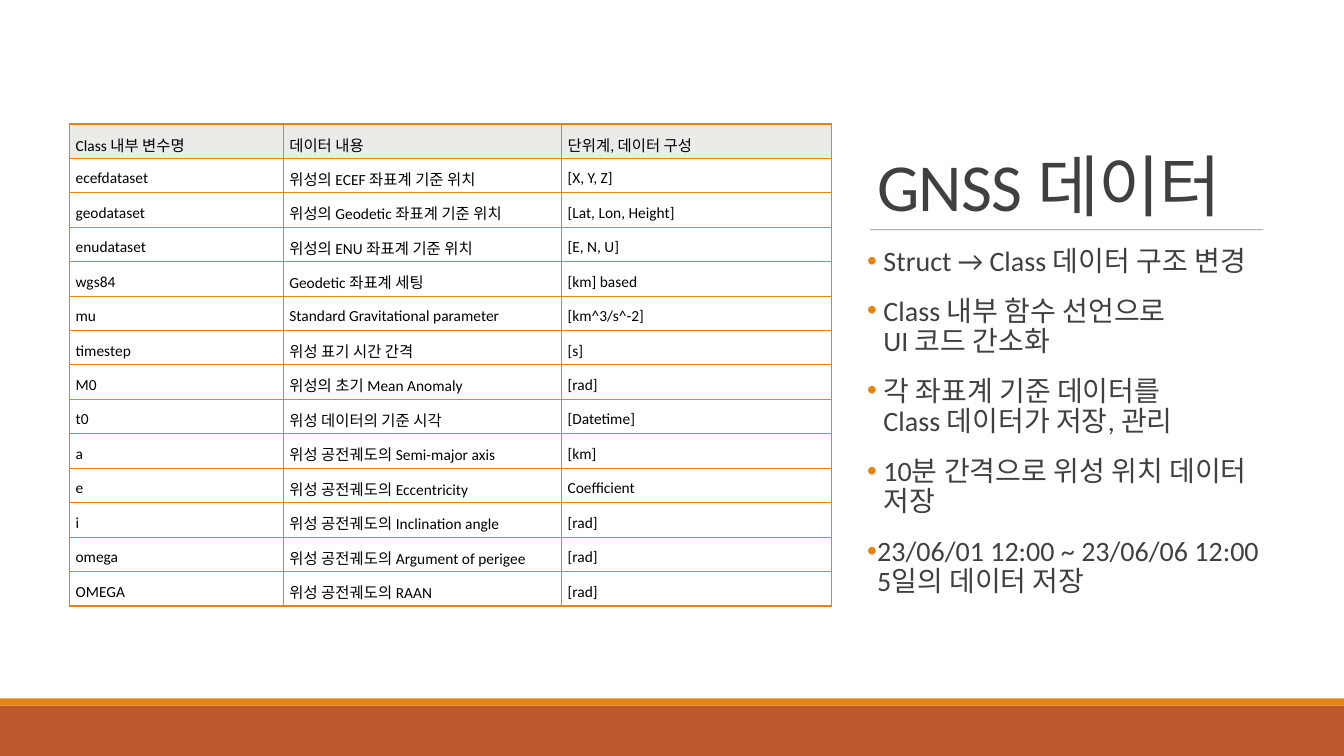
from dataclasses import dataclass

from lxml import etree
from pptx import Presentation
from pptx import util as u
from pptx.dml import color as col
from pptx.enum import shapes, text
from pptx.oxml import ns


@dataclass(frozen=True)
class Theme:
    font: str = "Calibri"
    ink: str = "404040"
    black: str = "000000"
    accent: str = "E48312"
    rust: str = "BD582C"
    head: str = "EAECE7"
    rule: str = "808080"
    title: float = 48
    body: float = 20
    cell: float = 11


THEME = Theme()

POINTS = [
    " Struct → Class 데이터 구조 변경",
    " Class 내부 함수 선언으로\n UI 코드 간소화",
    " 각 좌표계 기준 데이터를 \n Class 데이터가 저장, 관리",
    " 10분 간격으로 위성 위치 데이터\n 저장",
    "23/06/01 12:00 ~ 23/06/06 12:00\n5일의 데이터 저장",
]

FIELDS = [
    ("Class 내부 변수명", "데이터 내용", "단위계, 데이터 구성"),
    ("ecefdataset", "위성의 ECEF 좌표계 기준 위치", "[X, Y, Z]"),
    ("geodataset", "위성의 Geodetic 좌표계 기준 위치", "[Lat, Lon, Height]"),
    ("enudataset", "위성의 ENU 좌표계 기준 위치", "[E, N, U]"),
    ("wgs84", "Geodetic 좌표계 세팅", "[km] based"),
    ("mu", "Standard Gravitational parameter", "[km^3/s^-2]"),
    ("timestep", "위성 표기 시간 간격", "[s]"),
    ("M0", "위성의 초기 Mean Anomaly", "[rad]"),
    ("t0", "위성 데이터의 기준 시각", "[Datetime]"),
    ("a", "위성 공전궤도의 Semi-major axis", "[km]"),
    ("e", "위성 공전궤도의 Eccentricity", "Coefficient"),
    ("i", "위성 공전궤도의 Inclination angle", "[rad]"),
    ("omega", "위성 공전궤도의 Argument of perigee", "[rad]"),
    ("OMEGA", "위성 공전궤도의 RAAN", "[rad]"),
]
COLS = (2.12, 2.76, 2.68)
ROW = 0.34


def rgb(code):
    return col.RGBColor.from_string(code)


def add_node(parent, tag, **attrs):
    return etree.SubElement(parent, ns.qn(tag), attrs)


def add_color(parent, code):
    return add_node(parent, "a:srgbClr", val=code)


def style_runs(para, size, color):
    for run in para.runs:
        run.font.name = THEME.font
        run.font.size = u.Pt(size)
        run.font.color.rgb = rgb(color)


def place(shape, left, top, width, height):
    shape.left, shape.top = u.Inches(left), u.Inches(top)
    shape.width, shape.height = u.Inches(width), u.Inches(height)


def set_insets(item, left, top, right, bottom):
    item.margin_left, item.margin_top = u.Inches(left), u.Inches(top)
    item.margin_right, item.margin_bottom = u.Inches(right), u.Inches(bottom)


def add_title(slide, words):
    title = slide.shapes.title
    place(title, 8.6, 0.69, 4.04, 1.59)
    frame = title.text_frame
    frame.text = words
    frame.auto_size = text.MSO_AUTO_SIZE.NONE
    frame.vertical_anchor = text.MSO_ANCHOR.BOTTOM
    para = frame.paragraphs[0]
    para.alignment = text.PP_ALIGN.LEFT
    para.line_spacing = 0.85
    style_runs(para, THEME.title, THEME.ink)
    for run in para.runs:
        run.font._element.set("spc", "-50")


def add_bullet(para):
    """Give the paragraph a hanging indent and an accent dot."""
    props = para._p.get_or_add_pPr()
    hang = u.Inches(0.1)
    props.set("marL", str(hang))
    props.set("indent", str(-hang))
    add_color(add_node(props, "a:buClr"), THEME.accent)
    add_node(props, "a:buChar", char="•")


def add_list(slide, points):
    body = slide.placeholders[1]
    place(body, 8.6, 2.4, 4.04, 4.01)
    frame = body.text_frame
    frame.auto_size = text.MSO_AUTO_SIZE.NONE
    frame.vertical_anchor = text.MSO_ANCHOR.TOP
    set_insets(frame, 0, 0.05, 0, 0.05)
    for n, point in enumerate(points):
        para = frame.add_paragraph() if n else frame.paragraphs[0]
        para.text = point
        para.alignment = text.PP_ALIGN.LEFT
        para.line_spacing = 0.9
        para.space_before, para.space_after = u.Pt(12), u.Pt(2)
        add_bullet(para)
        style_runs(para, THEME.body, THEME.ink)


def add_band(slide, top, height, color):
    band = slide.shapes.add_shape(
        shapes.MSO_SHAPE.RECTANGLE,
        u.Inches(0), u.Inches(top), u.Inches(13.33), u.Inches(height))
    band.shadow.inherit = False
    band.fill.solid()
    band.fill.fore_color.rgb = rgb(color)
    band.line.fill.background()


def add_rule(slide, left, right, y):
    rule = slide.shapes.add_connector(
        shapes.MSO_CONNECTOR.STRAIGHT,
        u.Inches(left), u.Inches(y), u.Inches(right), u.Inches(y))
    rule.line.width = u.Pt(0.5)
    rule.line.color.rgb = rgb(THEME.rule)
    props = rule._element.spPr
    tint = props.find(".//" + ns.qn("a:srgbClr"))
    add_node(tint, "a:alpha", val="90000")
    add_node(props, "a:effectLst")


def add_border(cell):
    props = cell._tc.get_or_add_tcPr()
    for side in ("a:lnL", "a:lnR", "a:lnT", "a:lnB"):
        edge = add_node(props, side, w=str(u.Pt(1)))
        add_color(add_node(edge, "a:solidFill"), THEME.accent)


def fill_cell(cell, words, is_head):
    cell.text = words
    cell.vertical_anchor = text.MSO_ANCHOR.MIDDLE
    set_insets(cell, 0.06, 0.09, 0.06, 0.03)
    style_runs(cell.text_frame.paragraphs[0], THEME.cell, THEME.black)
    add_border(cell)
    if is_head:
        cell.fill.solid()
        cell.fill.fore_color.rgb = rgb(THEME.head)
    else:
        cell.fill.background()


def add_grid(slide, rows):
    table = slide.shapes.add_table(
        len(rows), len(COLS), u.Inches(0.69), u.Inches(1.23),
        u.Inches(sum(COLS)), u.Inches(ROW * len(rows))).table
    table.first_row = table.horz_banding = False
    for column, width in zip(table.columns, COLS):
        column.width = u.Inches(width)
    for r, row in enumerate(rows):
        table.rows[r].height = u.Inches(ROW)
        for c, words in enumerate(row):
            fill_cell(table.cell(r, c), words, r == 0)


def main():
    deck = Presentation()
    deck.slide_width, deck.slide_height = u.Inches(13.33), u.Inches(7.5)
    slide = deck.slides.add_slide(deck.slide_layouts[1])
    add_title(slide, "GNSS 데이터")
    add_rule(slide, 8.63, 12.53, 2.28)
    add_list(slide, POINTS)
    add_band(slide, 6.93, 0.07, THEME.accent)
    add_band(slide, 7, 0.5, THEME.rust)
    add_grid(slide, FIELDS)
    deck.save("out.pptx")


if __name__ == "__main__":
    main()
